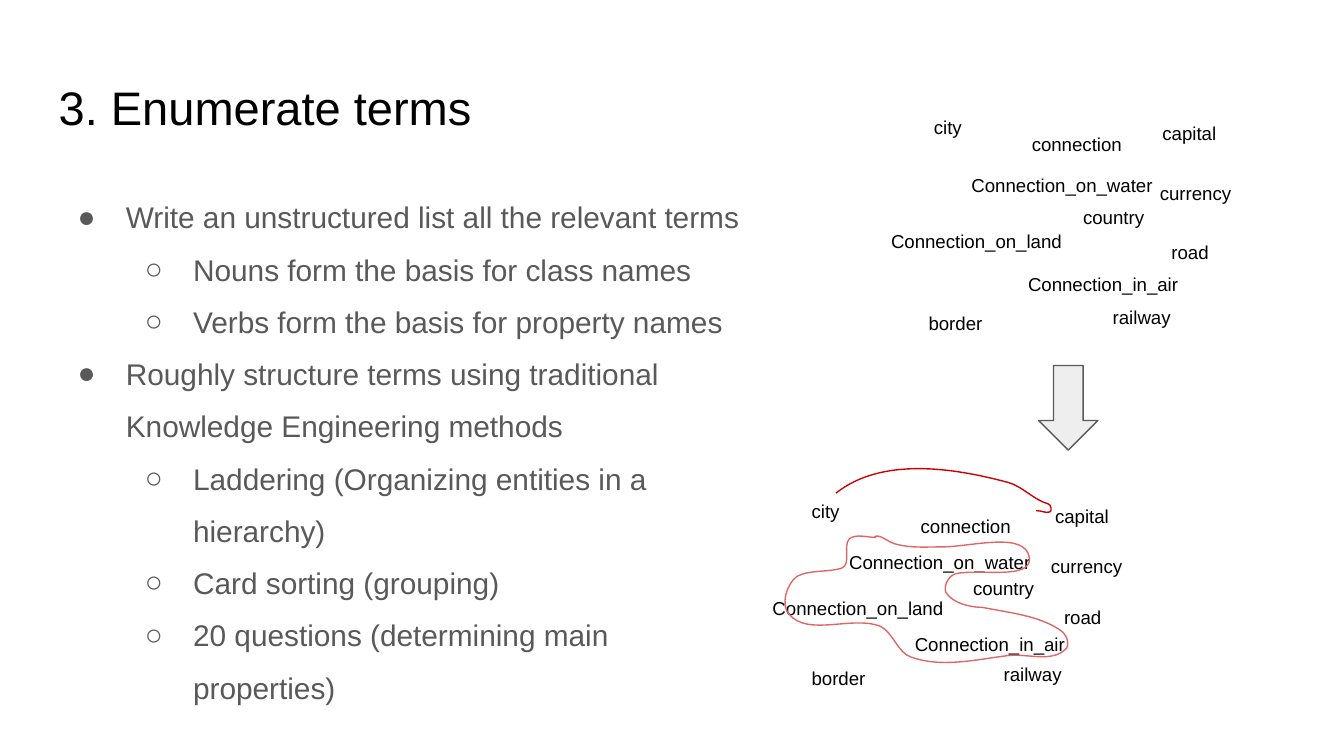
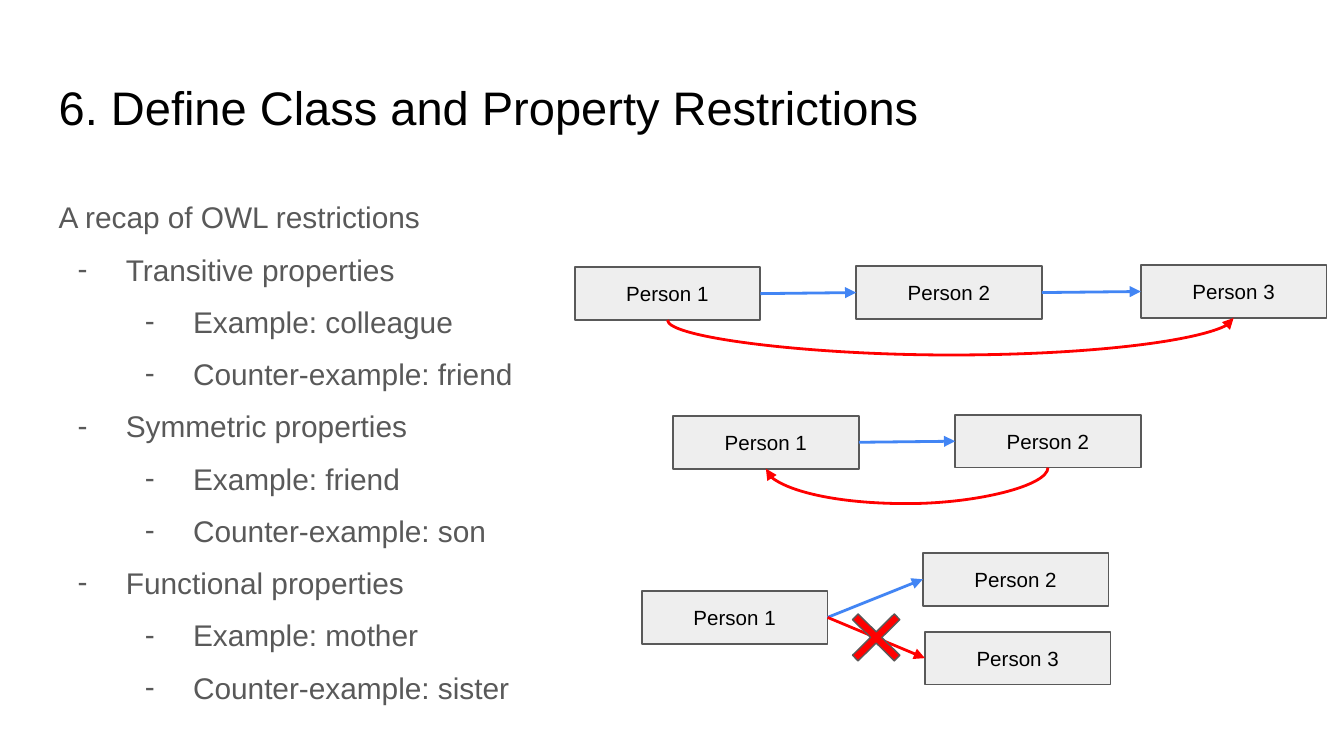
import dataclasses
import typing

import lxml.etree
import pptx
import pptx.dml.color
import pptx.enum.shapes
import pptx.enum.text
import pptx.oxml.ns
import pptx.util

Cm = pptx.util.Cm
Pt = pptx.util.Pt
qn = pptx.oxml.ns.qn
PRESET = pptx.enum.shapes.MSO_SHAPE
CONNECTOR = pptx.enum.shapes.MSO_CONNECTOR
ALIGN = pptx.enum.text.PP_ALIGN
ANCHOR = pptx.enum.text.MSO_ANCHOR
FIT = pptx.enum.text.MSO_AUTO_SIZE


@dataclasses.dataclass(frozen=True)
class Theme:
    font: str = "Arial"
    ink: str = "000000"
    body: str = "595959"
    panel: str = "EEEEEE"
    outline: str = "595959"
    asserted: str = "4285F4"
    inferred: str = "FF0000"
    group: str = "E06666"
    link: str = "CC0000"
    title_size: float = 25.2
    body_size: float = 16
    person_size: float = 11
    term_size: float = 10
    body_spacing: float = 1.46


THEME = Theme()


class Box(typing.NamedTuple):
    left: float
    top: float
    width: float
    height: float

    def lengths(self) -> list:
        return [Cm(value) for value in self]


class Point(typing.NamedTuple):
    level: int
    text: str


class Term(typing.NamedTuple):
    word: str
    width: float
    scattered: tuple
    grouped: tuple


class Person(typing.NamedTuple):
    number: int
    left: float
    top: float


TITLE_BOX = Box(0.86, 1.24, 23.67, 1.6)
PERSON_SIZE = (3.51, 1)
TERM_HEIGHT = 0.69
UNBULLETED = -1
LEFT_SITE, BOTTOM_SITE, RIGHT_SITE = 1, 2, 3

TERM_POINTS = [
    Point(0, "Write an unstructured list all the relevant terms"),
    Point(1, "Nouns form the basis for class names"),
    Point(1, "Verbs form the basis for property names"),
    Point(0, "Roughly structure terms using traditional Knowledge Engineering methods"),
    Point(1, "Laddering (Organizing entities in a hierarchy)"),
    Point(1, "Card sorting (grouping)"),
    Point(1, "20 questions (determining main properties)"),
]

RESTRICTION_POINTS = [
    Point(UNBULLETED, "A recap of OWL restrictions"),
    Point(0, "Transitive properties"),
    Point(1, "Example: colleague"),
    Point(1, "Counter-example: friend"),
    Point(0, "Symmetric properties"),
    Point(1, "Example: friend"),
    Point(1, "Counter-example: son"),
    Point(0, "Functional properties"),
    Point(1, "Example: mother"),
    Point(1, "Counter-example: sister"),
]

TERMS = [
    Term("country", 1.72, (20.22, 3.76), (18.14, 10.77)),
    Term("city", 1.3, (17.4, 2.06), (15.09, 9.32)),
    Term("capital", 1.72, (21.72, 2.18), (19.69, 9.42)),
    Term("border", 1.72, (17.3, 5.77), (15.09, 12.47)),
    Term("connection", 2.6, (19.25, 2.39), (17.15, 9.6)),
    Term("Connection_on_land", 5.2, (16.59, 4.22), (14.35, 11.15)),
    Term("Connection_in_air", 4.3, (19.18, 5.03), (17.04, 11.84)),
    Term("Connection_on_water", 5.2, (18.11, 3.15), (15.8, 10.29)),
    Term("road", 1.72, (21.89, 4.42), (19.86, 11.33)),
    Term("railway", 1.72, (20.78, 5.66), (18.72, 12.4)),
    Term("currency", 2.6, (21.67, 3.3), (19.61, 10.36)),
]

CURVE_UNIT = Cm(2.54) / 100
CONNECTION_GROUP = [
    (652, 400),
    (646, 400), (637, 397), (632, 401), (627, 406), (634, 420), (626, 423),
    (615, 426), (602, 424), (593, 429), (585, 435), (581, 450), (587, 457),
    (601, 474), (634, 458), (655, 466), (665, 471), (668, 486), (678, 489),
    (700, 497), (726, 491), (749, 488), (764, 486), (781, 493), (792, 484),
    (797, 481), (794, 472), (789, 469), (773, 458), (751, 456), (731, 452),
    (722, 452), (709, 449), (704, 441), (702, 437), (705, 429), (711, 427),
    (729, 423), (768, 432), (766, 415), (763, 395), (723, 407), (701, 407),
    (690, 407), (678, 408), (667, 405), (661, 404), (654, 396), (650, 400),
]
CITY_TO_CAPITAL = [
    (622, 367),
    (656, 340), (709, 348), (750, 359), (761, 362), (769, 372), (780, 375),
    (782, 375), (783, 381), (781, 381), (778, 382), (775, 380), (771, 380),
]


def rgb(color: str) -> pptx.dml.color.RGBColor:
    return pptx.dml.color.RGBColor.from_string(color)


def style_text(paragraph, size: float, color: str) -> None:
    for run in paragraph.runs:
        run.font.name = THEME.font
        run.font.size = Pt(size)
        run.font.color.rgb = rgb(color)


def add_text(slide, box: Box, text: str, size: float, inset: float):
    label = slide.shapes.add_textbox(*box.lengths())
    frame = label.text_frame
    frame.word_wrap = True
    frame.margin_left = frame.margin_right = Cm(0.25)
    frame.margin_top = frame.margin_bottom = Cm(inset)
    frame.text = text
    style_text(frame.paragraphs[0], size, THEME.ink)
    return frame


def set_bullet(paragraph, level: int, mark: str) -> None:
    properties = paragraph._p.get_or_add_pPr()
    properties.set("marL", str(Cm(1.27 * (level + 1))))
    properties.set("indent", str(Cm(-0.91)))
    bullet_color = lxml.etree.SubElement(properties, qn("a:buClr"))
    lxml.etree.SubElement(bullet_color, qn("a:srgbClr"), val=THEME.body)
    lxml.etree.SubElement(properties, qn("a:buFont"), typeface=THEME.font)
    lxml.etree.SubElement(properties, qn("a:buChar"), char=mark)
    paragraph.level = level


def add_points(slide, box: Box, points: list, marks: str) -> None:
    frame = add_text(slide, box, "", THEME.body_size, 0.25)
    for index, point in enumerate(points):
        paragraph = frame.add_paragraph() if index else frame.paragraphs[0]
        paragraph.text = point.text
        if point.level != UNBULLETED:
            set_bullet(paragraph, point.level, marks[point.level])
        paragraph.line_spacing = THEME.body_spacing
        style_text(paragraph, THEME.body_size, THEME.body)


def start_slide(deck, title: str):
    slide = deck.slides.add_slide(deck.slide_layouts[6])
    add_text(slide, TITLE_BOX, title, THEME.title_size, 0.25)
    return slide


def add_preset(slide, preset, box: Box, fill: str, weight: float):
    figure = slide.shapes.add_shape(preset, *box.lengths())
    figure.shadow.inherit = False
    figure.fill.solid()
    figure.fill.fore_color.rgb = rgb(fill)
    figure.line.color.rgb = rgb(THEME.outline)
    figure.line.width = Pt(weight)
    return figure


def add_term(slide, word: str, width: float, corner: tuple) -> None:
    frame = add_text(slide, Box(*corner, width, TERM_HEIGHT), word, THEME.term_size, 0.13)
    frame.auto_size = FIT.SHAPE_TO_FIT_TEXT


def add_curve(slide, points: list, color: str) -> None:
    builder = slide.shapes.build_freeform(*points[0], scale=CURVE_UNIT)
    builder.add_line_segments(points[1:], close=False)
    curve = builder.convert_to_shape()
    curve.shadow.inherit = False
    curve.fill.background()
    curve.line.color.rgb = rgb(color)
    curve.line.width = Pt(0.75)
    outline = next(curve.element.iter(qn("a:path")))
    segments = outline.findall(qn("a:lnTo"))
    for first in range(0, len(segments), 3):
        bezier = lxml.etree.SubElement(outline, qn("a:cubicBezTo"))
        for segment in segments[first:first + 3]:
            bezier.append(segment[0])
            outline.remove(segment)


def add_person(slide, person: Person):
    box = Box(person.left, person.top, *PERSON_SIZE)
    figure = add_preset(slide, PRESET.RECTANGLE, box, THEME.panel, 1)
    frame = figure.text_frame
    frame.text = f"Person {person.number}"
    frame.vertical_anchor = ANCHOR.MIDDLE
    frame.paragraphs[0].alignment = ALIGN.CENTER
    style_text(frame.paragraphs[0], THEME.person_size, THEME.ink)
    return figure


def style_arrow(arrow, color: str) -> None:
    arrow.line.color.rgb = rgb(color)
    arrow.line.width = Pt(1.5)
    properties = arrow.element.spPr
    lxml.etree.SubElement(properties.find(qn("a:ln")), qn("a:tailEnd"), type="triangle")
    lxml.etree.SubElement(properties, qn("a:effectLst"))


def add_relation(slide, subject, target, color: str) -> None:
    arrow = slide.shapes.add_connector(CONNECTOR.STRAIGHT, 0, 0, 0, 0)
    arrow.begin_connect(subject, RIGHT_SITE)
    arrow.end_connect(target, LEFT_SITE)
    style_arrow(arrow, color)


def add_inference(slide, subject, target, drop: float) -> None:
    start_x, end_x = (person.left + person.width // 2 for person in (subject, target))
    start_y, end_y = (person.top + person.height for person in (subject, target))
    rise, span = abs(end_y - start_y), abs(end_x - start_x)
    left = (start_x + end_x - rise) // 2
    top = (start_y + end_y - span) // 2
    arrow = slide.shapes.add_connector(CONNECTOR.CURVE, left, top, left + rise, top + span)
    rightward = end_x > start_x
    properties = arrow.element.spPr
    properties.find(qn("a:xfrm")).set("rot", str((270 if rightward else 90) * 60000))
    bend = round(Cm(drop) / rise * 100000) * (-1 if rightward else 1)
    guides = properties.find(qn("a:prstGeom")).find(qn("a:avLst"))
    lxml.etree.SubElement(guides, qn("a:gd"), name="adj1", fmla=f"val {bend}")
    style_arrow(arrow, THEME.inferred)


def build_terms(deck) -> None:
    slide = start_slide(deck, "3. Enumerate terms")
    add_points(slide, Box(0.86, 3.2, 13.56, 9.8), TERM_POINTS, "●○")
    for term in TERMS:
        add_term(slide, term.word, term.width, term.scattered)
    add_preset(slide, PRESET.DOWN_ARROW, Box(19.63, 6.91, 1.12, 1.6), THEME.panel, 0.75)
    for term in TERMS:
        add_term(slide, term.word, term.width, term.grouped)
    add_curve(slide, CONNECTION_GROUP, THEME.group)
    add_curve(slide, CITY_TO_CAPITAL, THEME.link)


def build_restrictions(deck) -> None:
    slide = start_slide(deck, "6. Define Class and Property Restrictions")
    add_points(slide, Box(0.86, 3.2, 10.44, 10.03), RESTRICTION_POINTS, "--")

    transitive = [Person(1, 10.86, 5.05), Person(2, 16.18, 5.03), Person(3, 21.56, 5.01)]
    first, middle, last = [add_person(slide, person) for person in transitive]
    add_inference(slide, first, last, 0.66)
    add_relation(slide, first, middle, THEME.asserted)
    add_relation(slide, middle, last, THEME.asserted)

    symmetric = [Person(1, 12.72, 7.86), Person(2, 18.05, 7.84)]
    friend, other = [add_person(slide, person) for person in symmetric]
    add_relation(slide, friend, other, THEME.asserted)
    add_inference(slide, other, friend, 0.68)

    functional = [Person(1, 12.13, 11.17), Person(2, 17.44, 10.45), Person(3, 17.48, 11.94)]
    child, mother, rejected = [add_person(slide, person) for person in functional]
    add_relation(slide, child, mother, THEME.asserted)
    add_relation(slide, child, rejected, THEME.inferred)
    cross = add_preset(slide, PRESET.MATH_MULTIPLY, Box(15.8, 11.3, 1.52, 1.5), THEME.inferred, 0.75)
    cross.adjustments[0] = 0.1


def main() -> None:
    deck = pptx.Presentation()
    deck.slide_width = Cm(25.4)
    deck.slide_height = Cm(14.29)
    build_terms(deck)
    build_restrictions(deck)
    deck.save("out.pptx")


if __name__ == "__main__":
    main()
